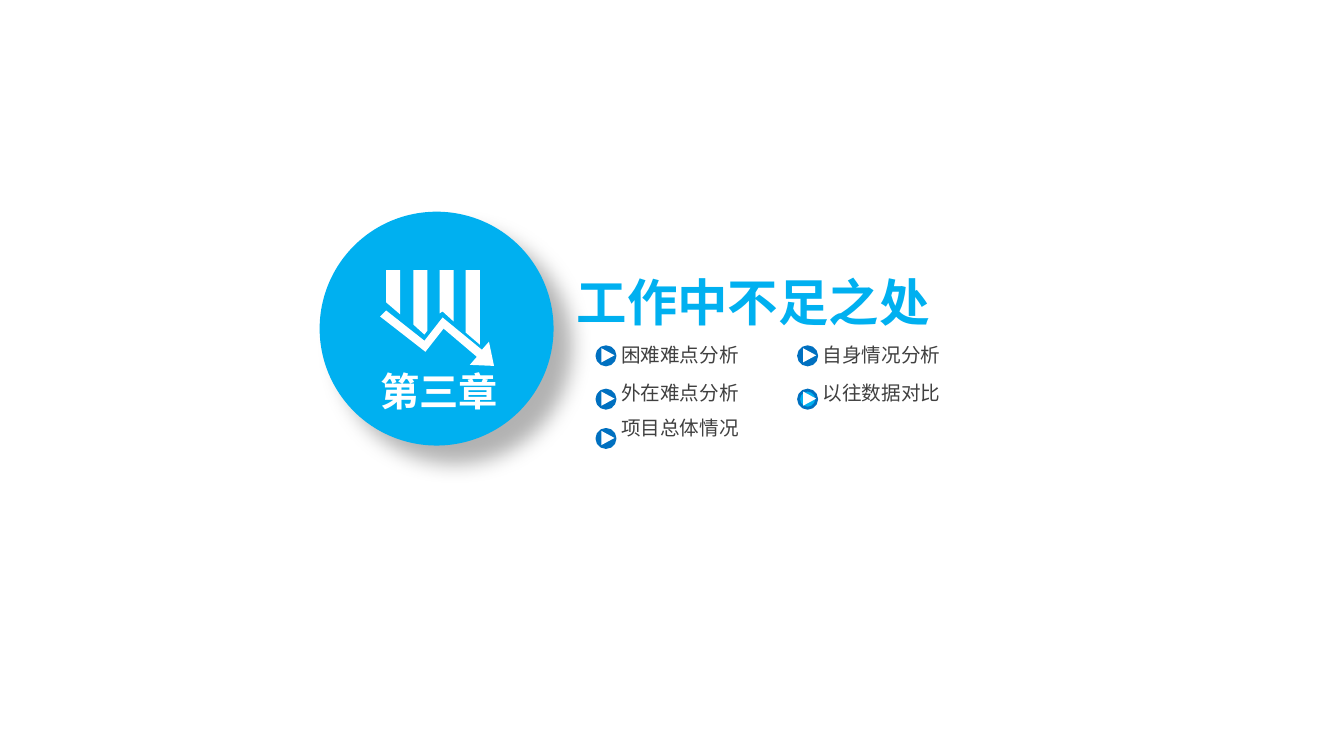
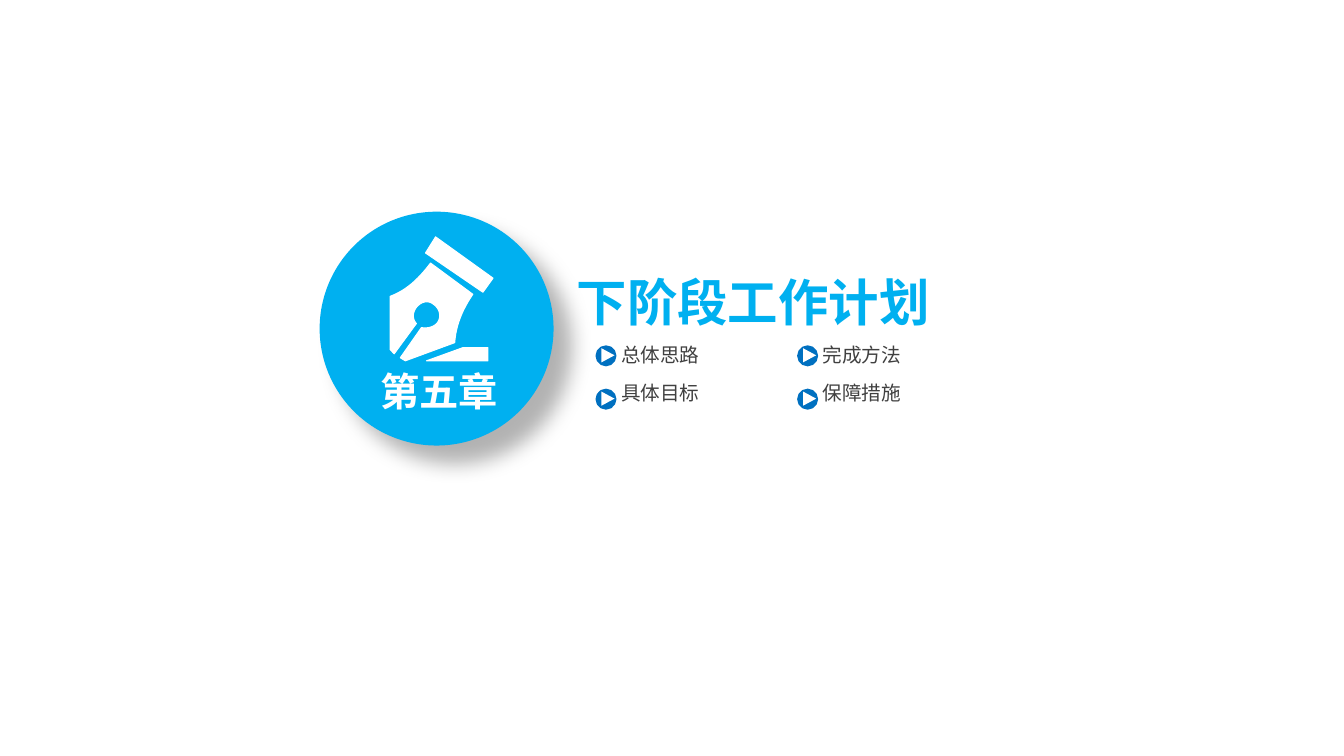
from dataclasses import dataclass

from lxml import etree
from pptx import Presentation
from pptx.dml.color import RGBColor
from pptx.enum.shapes import MSO_SHAPE
from pptx.enum.text import MSO_ANCHOR, MSO_AUTO_SIZE, PP_ALIGN
from pptx.oxml.ns import qn
from pptx.util import Emu, Pt

# Shared look: 100 px to the inch
PX = 9144
FONT = "Noto Sans CJK SC"
COLORS = {
    "sky": "00B0F0",
    "deep": "0070C0",
    "white": "FFFFFF",
    "text": "404040",
    "shadow": "000000",
}
TWO_CONTENT_LAYOUT = 3
COLUMN_LEFTS = (616, 816)
ROW_TOPS = (340, 383, 422)
ROW_HEIGHT = 28
CURVE_STEPS = 12


@dataclass(frozen=True)
class Topic:
    text: str
    mark_color: str = "deep"


@dataclass(frozen=True)
class Icon:
    """Outlines hold points (x, y) and cubic curves (x1, y1, x2, y2, x, y)."""
    outlines: tuple
    line_width: float = 0


@dataclass(frozen=True)
class Chapter:
    label: str
    title: str
    columns: tuple
    icons: tuple


# Icons
FALLING_BARS = Icon((
    ((383, 268), (397, 268), (397, 312), (383, 300)),
    ((410, 268), (424, 268), (424, 328), (421, 332), (410, 322)),
    ((436, 268), (450, 268), (450, 319), (439, 309), (436, 311)),
    ((462, 268), (476, 268), (476, 342), (462, 330)),
))
FALLING_ARROW = Icon((
    ((490, 363), (485, 339), (478, 347), (439, 315), (421, 338), (383, 308),
     (377, 314), (422, 349), (440, 326), (473, 354), (466, 362)),
))
PEN_NIB = Icon((
    # Nib with its slit and round hole
    ((391, 351), (387, 347), (387, 294), (403, 288, 415, 277, 427, 261),
     (469, 292), (458, 308, 452, 324, 451, 340), (402, 358), (397, 355),
     (418, 325), (423, 326, 430, 325, 434, 320),
     (438, 314, 436, 306, 430, 302), (424, 297, 417, 300, 413, 305),
     (409, 310, 409, 317, 413, 321)),
    # Drawn stroke
    ((423, 358), (484, 358), (484, 345), (459, 345)),
    # Pen collar
    ((479, 290), (489, 276), (432, 235), (422, 251)),
), line_width=0.75)

CHAPTERS = (
    Chapter(
        "第三章", "工作中不足之处",
        ((Topic("困难难点分析"), Topic("外在难点分析"), Topic("项目总体情况")),
         (Topic("自身情况分析"), Topic("以往数据对比", "sky"))),
        (FALLING_BARS, FALLING_ARROW)),
    Chapter(
        "第五章", "下阶段工作计划",
        ((Topic("总体思路"), Topic("具体目标")),
         (Topic("完成方法"), Topic("保障措施"))),
        (PEN_NIB,)),
)


def px(length: int) -> Emu:
    return Emu(length * PX)


def rgb(name: str) -> RGBColor:
    return RGBColor.from_string(COLORS[name])


def place(box, left: int, top: int, width: int, height: int) -> None:
    box.left, box.top = px(left), px(top)
    box.width, box.height = px(width), px(height)


def prepare_frame(box, anchor):
    frame = box.text_frame
    frame.word_wrap = True
    frame.auto_size = MSO_AUTO_SIZE.NONE
    frame.vertical_anchor = anchor
    frame.margin_left = frame.margin_right = 0
    frame.margin_top = frame.margin_bottom = 0
    return frame


def add_span(para, text: str, size: int, color: str, bold: bool = False) -> None:
    para.alignment = PP_ALIGN.LEFT
    span = para.add_run()
    span.text = text
    span.font.size = Pt(size)
    span.font.bold = bold
    span.font.color.rgb = rgb(color)
    span.font.name = FONT
    # East Asian glyphs need their own font entry
    properties = span.font._element
    east_asian = etree.SubElement(properties, qn("a:ea"))
    east_asian.set("typeface", FONT)


def paint(shape, fill: str, line: str = "", line_width: float = 0) -> None:
    shape.shadow.inherit = False
    shape.fill.solid()
    shape.fill.fore_color.rgb = rgb(fill)
    if line_width:
        shape.line.color.rgb = rgb(line)
        shape.line.width = Pt(line_width)
    else:
        shape.line.fill.background()


def add_preset(page, kind, left: int, top: int, width: int, height: int):
    return page.shapes.add_shape(kind, px(left), px(top), px(width), px(height))


def add_drop_shadow(shape) -> None:
    effects = shape._element.spPr.find(qn("a:effectLst"))
    shadow = etree.SubElement(
        effects, qn("a:outerShdw"), blurRad=str(Pt(15)), dist=str(Pt(18)),
        dir=str(45 * 60000), algn="tl", rotWithShape="0")
    color = etree.SubElement(shadow, qn("a:srgbClr"), val=COLORS["shadow"])
    etree.SubElement(color, qn("a:alpha"), val="30000")


def flatten(outline: tuple) -> list:
    """Turn points and curves into a list of EMU points."""
    points = []
    for piece in outline:
        if len(piece) == 2:
            points.append((piece[0] * PX, piece[1] * PX))
            continue
        start = points[-1]
        x1, y1, x2, y2, x3, y3 = (value * PX for value in piece)
        for step in range(1, CURVE_STEPS + 1):
            t = step / CURVE_STEPS
            u = 1 - t
            weights = (u ** 3, 3 * u * u * t, 3 * u * t * t, t ** 3)
            points.append((
                sum(w * x for w, x in zip(weights, (start[0], x1, x2, x3))),
                sum(w * y for w, y in zip(weights, (start[1], y1, y2, y3)))))
    return points


def add_icon(page, icon: Icon) -> None:
    builder = None
    for outline in icon.outlines:
        first, *rest = flatten(outline)
        if builder is None:
            builder = page.shapes.build_freeform(*first, scale=1.0)
        else:
            builder.move_to(*first)
        builder.add_line_segments(rest, close=True)
    paint(builder.convert_to_shape(), "white", "white", icon.line_width)


def add_badge(page, chapter: Chapter) -> None:
    circle = add_preset(page, MSO_SHAPE.OVAL, 317, 210, 232, 232)
    paint(circle, "sky")
    add_drop_shadow(circle)
    label = page.shapes.add_textbox(px(377), px(360), px(130), px(56))
    frame = prepare_frame(label, MSO_ANCHOR.MIDDLE)
    add_span(frame.paragraphs[0], chapter.label, 28, "white", bold=True)
    for icon in chapter.icons:
        add_icon(page, icon)


def fill_title(page, title: str) -> None:
    box = page.shapes.title
    place(box, 572, 273, 430, 52)
    frame = prepare_frame(box, MSO_ANCHOR.MIDDLE)
    add_span(frame.paragraphs[0], title, 36, "sky", bold=True)


def add_play_mark(page, left: int, top: int, color: str) -> None:
    disc = add_preset(page, MSO_SHAPE.OVAL, left, top, 18, 18)
    paint(disc, color, "deep", 2)
    arrow = add_preset(page, MSO_SHAPE.ISOSCELES_TRIANGLE, left + 4, top + 2, 14, 13)
    arrow.rotation = 90
    paint(arrow, "white")


def fill_column(page, box, left: int, topics: tuple) -> None:
    place(box, left, ROW_TOPS[0], 134, ROW_TOPS[len(topics) - 1] + ROW_HEIGHT - ROW_TOPS[0])
    frame = prepare_frame(box, MSO_ANCHOR.TOP)
    for row, topic in enumerate(topics):
        para = frame.add_paragraph() if row else frame.paragraphs[0]
        properties = para._p.get_or_add_pPr()
        properties.set("marL", "0")
        properties.set("indent", "0")
        etree.SubElement(properties, qn("a:buNone"))
        gap = ROW_TOPS[row] - ROW_TOPS[row - 1] - ROW_HEIGHT if row else 0
        para.space_before = px(gap)
        add_span(para, topic.text, 14, "text")
        add_play_mark(page, left - 24, ROW_TOPS[row] + 4, topic.mark_color)


def add_chapter(deck, chapter: Chapter) -> None:
    page = deck.slides.add_slide(deck.slide_layouts[TWO_CONTENT_LAYOUT])
    add_badge(page, chapter)
    fill_title(page, chapter.title)
    bodies = (page.placeholders[1], page.placeholders[2])
    for box, left, topics in zip(bodies, COLUMN_LEFTS, chapter.columns):
        fill_column(page, box, left, topics)


def main() -> None:
    deck = Presentation()
    deck.slide_width, deck.slide_height = px(1333), px(750)
    for chapter in CHAPTERS:
        add_chapter(deck, chapter)
    deck.save("out.pptx")


if __name__ == "__main__":
    main()
